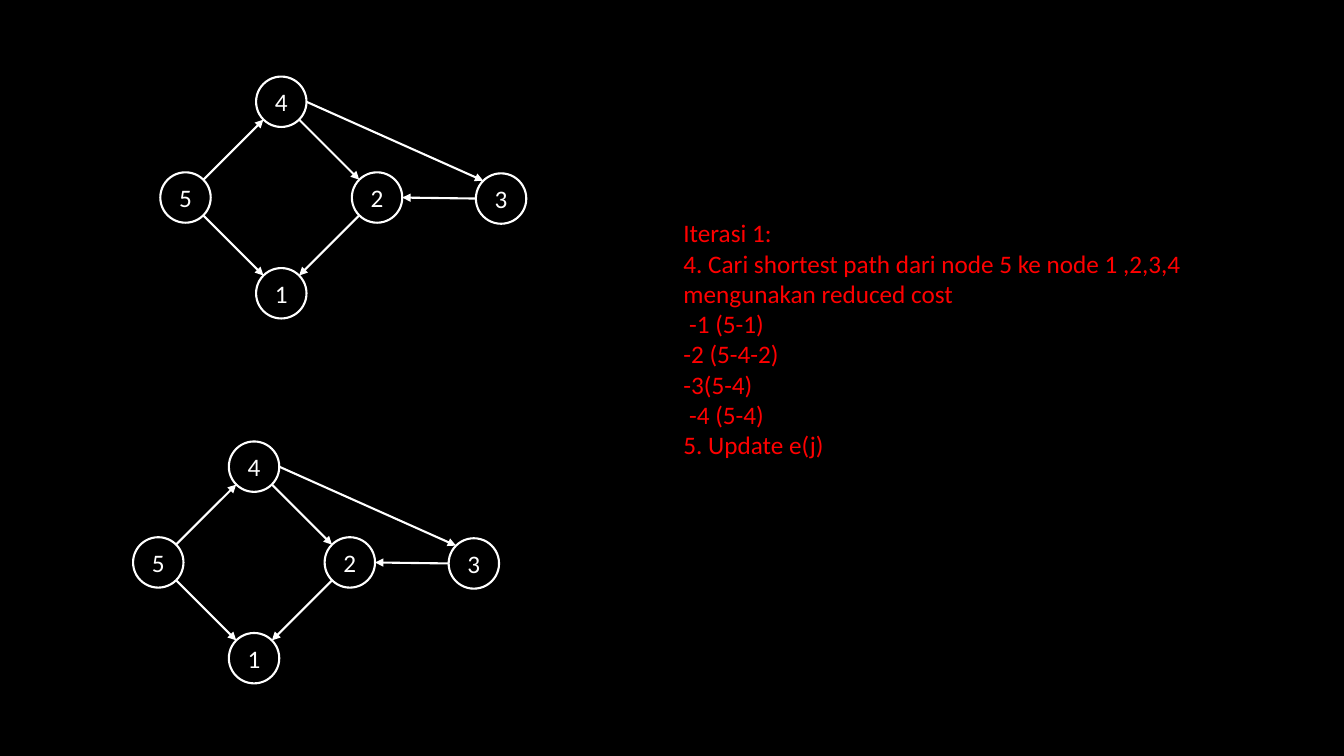
from math import hypot

from lxml.etree import SubElement
from pptx import Presentation
from pptx.dml.color import RGBColor
from pptx.enum.shapes import MSO_CONNECTOR, MSO_SHAPE
from pptx.enum.text import MSO_ANCHOR, MSO_AUTO_SIZE, PP_ALIGN
from pptx.oxml.ns import qn
from pptx.util import Pt

PX = 9144  # EMU per px, 100 px to the inch
BLACK = RGBColor(0, 0, 0)
WHITE = RGBColor(255, 255, 255)
RED = RGBColor(255, 0, 0)

RADIUS = 25
# Node centres, measured from the top left of a graph
NODES = {"5": (25, 120), "2": (215, 120), "4": (120, 25),
         "1": (120, 215), "3": (338, 121)}
LEFT, RIGHT = (-1, 0), (1, 0)
UP_LEFT, UP_RIGHT = (-1, -1), (1, -1)
LOW_LEFT, LOW_RIGHT = (-1, 1), (1, 1)
# Start node and side, end node and side
EDGES = [
    ("5", UP_RIGHT, "4", LOW_LEFT),
    ("4", LOW_RIGHT, "2", UP_LEFT),
    ("5", LOW_RIGHT, "1", UP_LEFT),
    ("2", LOW_LEFT, "1", UP_RIGHT),
    ("4", RIGHT, "3", UP_LEFT),
    ("3", LEFT, "2", RIGHT),
]
GRAPHS = [(159, 76), (132, 438)]
STEPS = [
    "Iterasi 1:",
    "4. Cari shortest path dari node 5 ke node 1 ,2,3,4 mengunakan reduced cost",
    " -1 (5-1)",
    "-2 (5-4-2)",
    "-3(5-4)",
    " -4 (5-4)",
    "5. Update e(j)",
]


def emu(*sizes):
    return [round(size * PX) for size in sizes]


def write(frame, lines, color=WHITE, size=18, align=PP_ALIGN.LEFT,
          anchor=MSO_ANCHOR.TOP):
    frame.word_wrap = True
    frame.vertical_anchor = anchor
    for i, line in enumerate(lines):
        para = frame.paragraphs[0] if i == 0 else frame.add_paragraph()
        para.text = line
        para.alignment = align
        para.font.name = "Calibri"
        para.font.size = Pt(size)
        para.font.color.rgb = color


def stroke(line):
    line.color.rgb = WHITE
    line.width = Pt(1.5)


def add_node(shapes, label, x, y):
    node = shapes.add_shape(
        MSO_SHAPE.OVAL,
        *emu(x - RADIUS, y - RADIUS, 2 * RADIUS, 2 * RADIUS))
    node.shadow.inherit = False
    node.fill.solid()
    node.fill.fore_color.rgb = BLACK
    stroke(node.line)
    write(node.text_frame, [label], align=PP_ALIGN.CENTER,
          anchor=MSO_ANCHOR.MIDDLE)


def rim(center, side):
    """Return the point of a node's circle that faces the given side."""
    reach = RADIUS / hypot(*side)
    return [c + reach * s for c, s in zip(center, side)]


def add_arrow(shapes, start, end):
    arrow = shapes.add_connector(MSO_CONNECTOR.STRAIGHT, *emu(*start, *end))
    stroke(arrow.line)
    props = arrow.element.spPr
    SubElement(props.find(qn("a:ln")), qn("a:tailEnd"), type="triangle")
    SubElement(props, qn("a:effectLst"))


def add_graph(slide, left, top):
    shapes = slide.shapes.add_group_shape().shapes
    spots = {name: (left + x, top + y) for name, (x, y) in NODES.items()}
    for name, spot in spots.items():
        add_node(shapes, name, *spot)
    for tail, out, head, into in EDGES:
        add_arrow(shapes, rim(spots[tail], out), rim(spots[head], into))


def main():
    deck = Presentation()
    deck.slide_width, deck.slide_height = emu(1333, 750)
    slide = deck.slides.add_slide(deck.slide_layouts[6])
    slide.background.fill.solid()
    slide.background.fill.fore_color.rgb = BLACK

    notes = slide.shapes.add_textbox(*emu(668, 211, 582, 252))
    write(notes.text_frame, STEPS, color=RED)
    notes.text_frame.auto_size = MSO_AUTO_SIZE.SHAPE_TO_FIT_TEXT
    for left, top in GRAPHS:
        add_graph(slide, left, top)
    deck.save("out.pptx")


if __name__ == "__main__":
    main()
